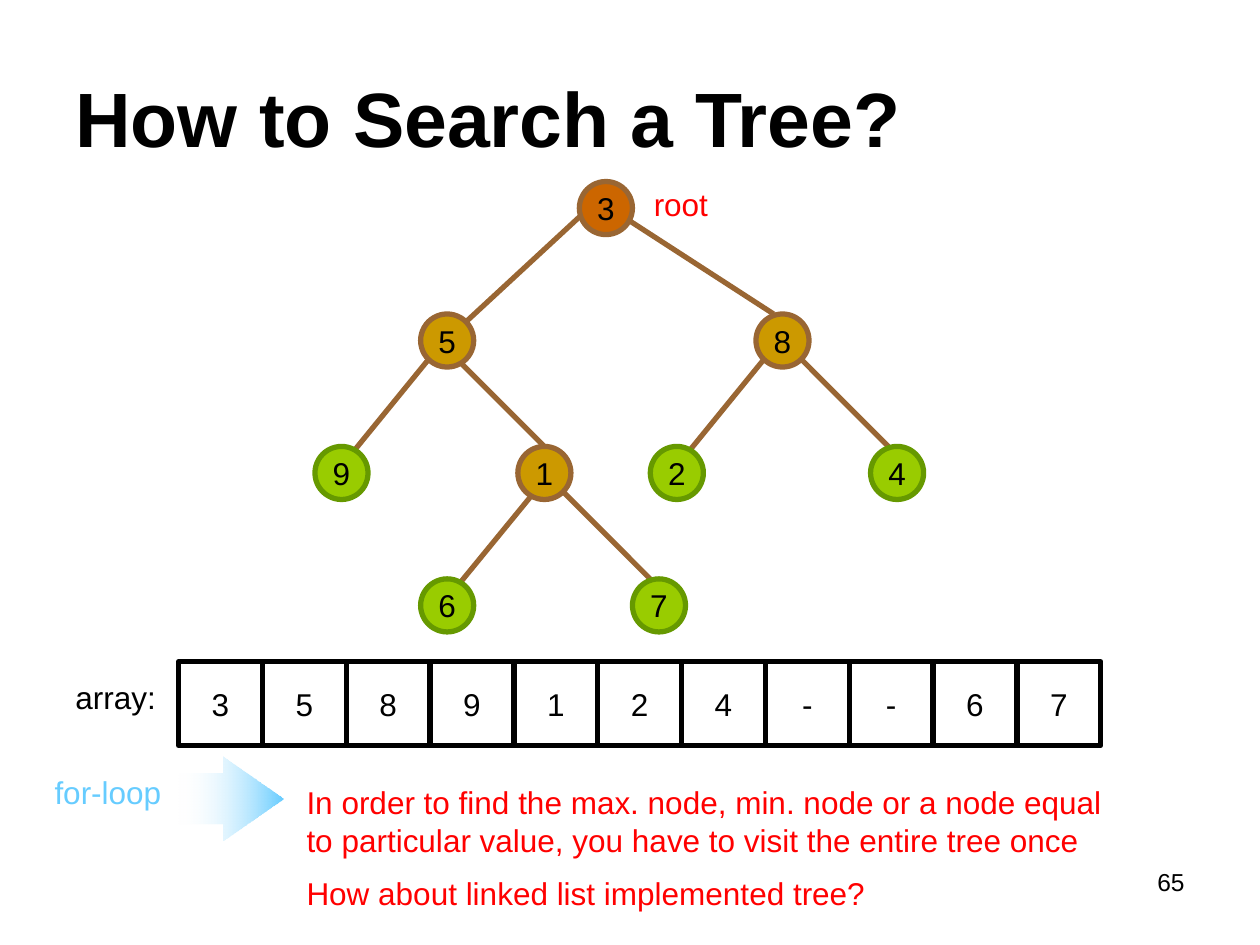
from lxml import etree
from pptx import Presentation
from pptx import util as u
from pptx.dml.color import RGBColor
from pptx.enum import shapes, text
from pptx.oxml import ns

THEME = {
    "font": "Arial",
    "black": "000000", "white": "FFFFFF", "red": "FF0000", "sky": "66CCFF",
    "brown": "996633", "rust": "CC6600", "gold": "CC9900",
    "lime": "99CC00", "green": "669900",
    "title": 44, "body": 18, "page": 14, "line": 3, "gap": 9,
}

NODES = {
    "3": (11.68, 0, "rust", "brown"),
    "5": (8.48, 1, "gold", "brown"),
    "8": (15.24, 1, "gold", "brown"),
    "9": (6.35, 2, "lime", "green"),
    "1": (10.44, 2, "gold", "brown"),
    "2": (13.11, 2, "lime", "green"),
    "4": (17.55, 2, "lime", "green"),
    "6": (8.48, 3, "lime", "green"),
    "7": (12.75, 3, "lime", "green"),
}
EDGES = [
    ("5", (5, 1), "3", (0, 4)),
    ("8", (2, 0), "3", (5, 4)),
    ("9", (4, 1), "5", (1, 5)),
    ("1", (3, 0), "5", (4, 5)),
    ("2", (4, 1), "8", (1, 5)),
    ("4", (2, 0), "8", (5, 5)),
    ("6", (4, 1), "1", (2, 5)),
    ("7", (2, 0), "1", (5, 5)),
]
ARRAY = ["3", "5", "8", "9", "1", "2", "4", "-", "-", "6", "7"]
LABELS = [
    ("root", (12.93, 3.6, 3.38, 1.02), "red"),
    ("array:", (1.27, 13.55, 2.75, 1.02), "black"),
    ("for-loop", (0.85, 15.45, 2.75, 1.02), "sky"),
    ("In order to find the max. node, min. node or a node equal to particular "
     "value, you have to visit the entire tree once\n"
     "How about linked list implemented tree?",
     (5.93, 15.66, 17.15, 2.92), "red"),
]
TITLE = ("How to Search a Tree?", (1.27, 0.76, 22.86, 3.18))
PAGE = ("65", (18.2, 17.36, 5.93, 1.32))
TOP, STEP, SIZE = 3.66, 2.67, 1.07
UNIT = SIZE / 6
ROW_X, ROW_Y, CELL = 3.6, 13.34, 1.69
ARROW = (3.81, 15.03, 1.69, 2.12)


def tint(name):
    """Return a theme colour."""
    return RGBColor.from_string(THEME[name])


def style(frame, ink="black", size="body", align=None, bold=False):
    """Format every paragraph of a text frame."""
    for i, para in enumerate(frame.paragraphs):
        para.alignment = align
        if i:
            para.space_before = u.Pt(THEME["gap"])
        for run in para.runs:
            run.font.name = THEME["font"]
            run.font.size = u.Pt(THEME[size])
            run.font.bold = bold
            run.font.color.rgb = tint(ink)


def label(slide, words, box, **look):
    """Add a wrapped text box."""
    frame = slide.shapes.add_textbox(*map(u.Cm, box)).text_frame
    frame.word_wrap = True
    frame.text = words
    style(frame, **look)
    return frame


def block(slide, kind, words, box, fill, edge):
    """Add an outlined shape with centred text."""
    shape = slide.shapes.add_shape(kind, *map(u.Cm, box))
    shape.shadow.inherit = False
    shape.fill.solid()
    shape.fill.fore_color.rgb = tint(fill)
    shape.line.color.rgb = tint(edge)
    shape.line.width = u.Pt(THEME["line"])
    frame = shape.text_frame
    frame.word_wrap = False
    frame.vertical_anchor = text.MSO_ANCHOR.MIDDLE
    frame.text = words
    style(frame, align=text.PP_ALIGN.CENTER)


def spot(key, shift=(0, 0)):
    """Return a point measured from the corner of a node."""
    left, level = NODES[key][:2]
    return left + shift[0] * UNIT, TOP + level * STEP + shift[1] * UNIT


def branch(slide, start, end):
    """Add a tree edge."""
    line = slide.shapes.add_connector(
        shapes.MSO_CONNECTOR.STRAIGHT, *map(u.Cm, start + end))
    line.line.color.rgb = tint("brown")
    line.line.width = u.Pt(THEME["line"])
    etree.SubElement(line._element.spPr, ns.qn("a:effectLst"))


def arrow(slide):
    """Add the fading loop arrow."""
    shape = slide.shapes.add_shape(
        shapes.MSO_SHAPE.UP_ARROW, *map(u.Cm, ARROW))
    shape.shadow.inherit = False
    shape.rotation = 90
    shape.adjustments[0], shape.adjustments[1] = 0.604, 0.724
    shape.line.fill.background()
    shape.fill.gradient()
    shape.fill.gradient_angle = 270
    for stop, name, place in zip(shape.fill.gradient_stops,
                                 ("sky", "white"), (0, 1)):
        stop.color.rgb = tint(name)
        stop.position = place
    last = shape._element.spPr.findall(".//" + ns.qn("a:srgbClr"))[-1]
    etree.SubElement(last, ns.qn("a:alpha"), val="0")


def main():
    """Build the tree search slide."""
    deck = Presentation()
    deck.slide_width, deck.slide_height = u.Cm(25.4), u.Cm(19.05)
    slide = deck.slides.add_slide(deck.slide_layouts[6])
    label(slide, *PAGE, size="page", align=text.PP_ALIGN.RIGHT)
    head = label(slide, *TITLE, size="title", bold=True)
    head.vertical_anchor = text.MSO_ANCHOR.MIDDLE
    for child, low, parent, high in EDGES:
        branch(slide, spot(child, low), spot(parent, high))
    for key, (_, _, fill, edge) in NODES.items():
        block(slide, shapes.MSO_SHAPE.OVAL, key,
              spot(key) + (SIZE, SIZE), fill, edge)
    for i, item in enumerate(ARRAY):
        block(slide, shapes.MSO_SHAPE.RECTANGLE, item,
              (ROW_X + i * CELL, ROW_Y, CELL, CELL), "white", "black")
    for words, box, ink in LABELS:
        label(slide, words, box, ink=ink)
    arrow(slide)
    deck.save("out.pptx")


if __name__ == "__main__":
    main()
